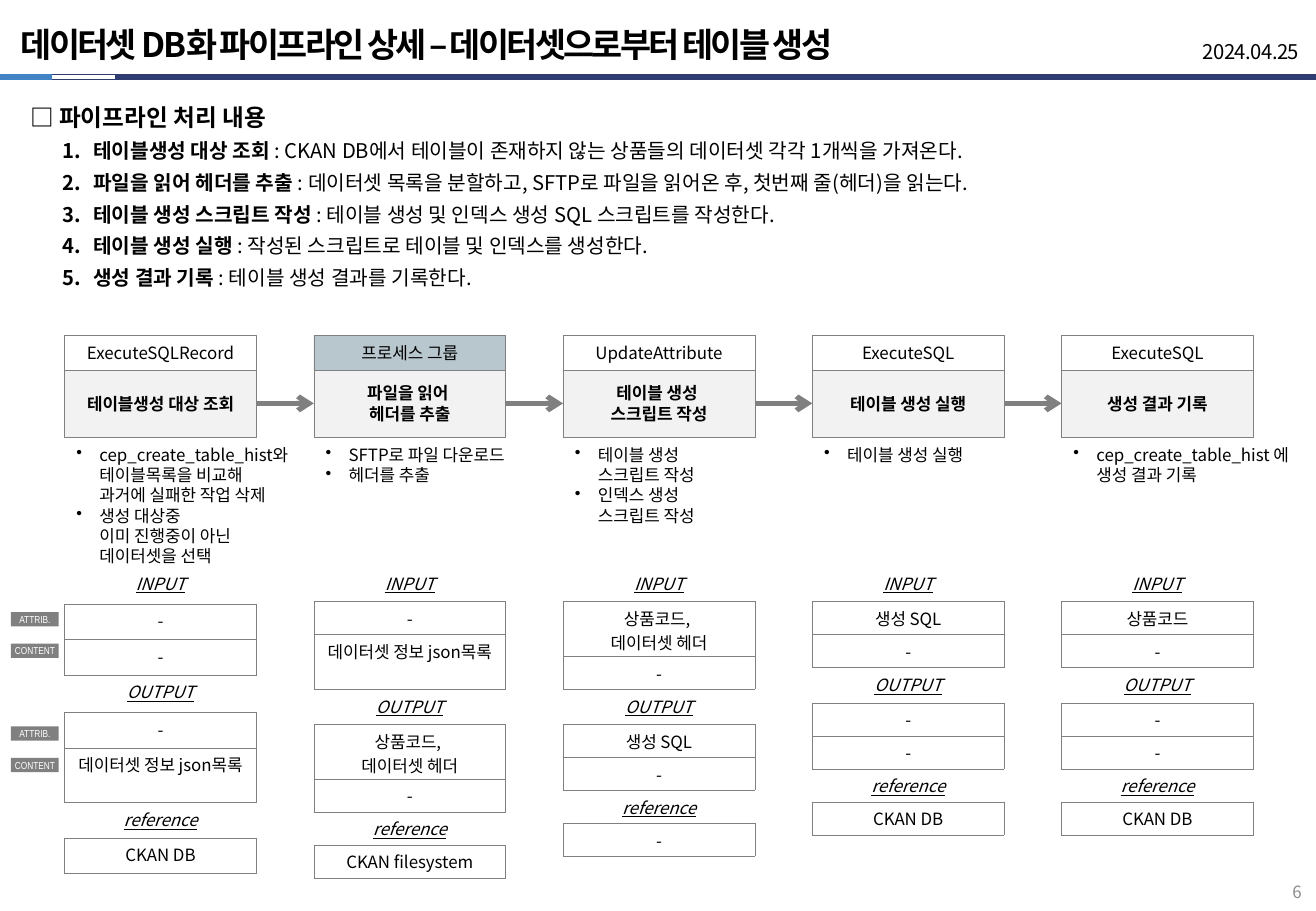
import collections

import pptx
import pptx.dml.color
import pptx.enum.shapes
import pptx.enum.text
import pptx.oxml
import pptx.oxml.ns
import pptx.util
from pptx.util import Cm, Pt

ALIGN = pptx.enum.text.PP_ALIGN
ANCHOR = pptx.enum.text.MSO_ANCHOR
RECTANGLE = pptx.enum.shapes.MSO_SHAPE.RECTANGLE
Box = collections.namedtuple("Box", "left top width height")
Stage = collections.namedtuple("Stage", "processor fill task notes inputs outputs reference slack")


class Theme:
    font, tag_font = "Noto Sans CJK KR", "Arial Narrow"
    black, white, gray, pale = "000000", "FFFFFF", "808080", "F2F2F2"
    navy, blue, steel, page_gray = "2F3C72", "4283C5", "B8C6CD", "8C8C8C"
    title, heading, body, small, tag = 20, 14, 12, 10, 6
    hairline, arrow = 0.25, 3
    leading, cell_leading, list_leading = 1.2, 1.4, 1.56


STEPS = [
    ("테이블생성 대상 조회 ", ": CKAN DB에서 테이블이 존재하지 않는 상품들의 데이터셋 각각 1개씩을 가져온다."),
    ("파일을 읽어 헤더를 추출 ", ": 데이터셋 목록을 분할하고, SFTP로 파일을 읽어온 후, 첫번째 줄(헤더)을 읽는다."),
    ("테이블 생성 스크립트 작성 ", ": 테이블 생성 및 인덱스 생성 SQL 스크립트를 작성한다."),
    ("테이블 생성 실행 ", ": 작성된 스크립트로 테이블 및 인덱스를 생성한다."),
    ("생성 결과 기록 ", ": 테이블 생성 결과를 기록한다."),
]
DATASET_LIST, HEADER = "데이터셋 정보 json목록", "상품코드, \n데이터셋 헤더"
STAGES = [
    Stage("ExecuteSQLRecord", Theme.white, "테이블생성 대상 조회",
          ["cep_create_table_hist와\v테이블목록을 비교해\v과거에 실패한 작업 삭제",
           "생성 대상중 \v이미 진행중이 아닌\v데이터셋을 선택"],
          ["-", "-"], ["-", DATASET_LIST], "CKAN DB", 0.05),
    Stage("프로세스 그룹", Theme.steel, "파일을 읽어 \n헤더를 추출",
          ["SFTP로 파일 다운로드", "헤더를 추출"],
          ["-", DATASET_LIST], [HEADER, "-"], "CKAN filesystem", 0),
    Stage("UpdateAttribute", Theme.white, "테이블 생성 \n스크립트 작성",
          ["테이블 생성\v스크립트 작성", "인덱스 생성\v스크립트 작성"],
          [HEADER, "-"], ["생성 SQL", "-"], "-", 0),
    Stage("ExecuteSQL", Theme.white, "테이블 생성 실행", ["테이블 생성 실행"],
          ["생성 SQL", "-"], ["-", "-"], "CKAN DB", 0),
    Stage("ExecuteSQL", Theme.white, "생성 결과 기록",
          ["cep_create_table_hist 에 \v생성 결과 기록"],
          ["상품코드", "-"], ["-", "-"], "CKAN DB", 0),
]


def rgb(color):
    return pptx.dml.color.RGBColor.from_string(color)


def add_xml(parent, markup, index=None):
    head, tail = markup.split(" ", 1) if " " in markup else (markup[:-2], "/>")
    element = pptx.oxml.parse_xml(f"{head} {pptx.oxml.ns.nsdecls('a')} {tail}")
    parent.insert(len(parent) if index is None else index, element)


def format_span(span, size, color=Theme.black, name=Theme.font, spacing=None, **values):
    for key, value in dict(values, size=Pt(size), name=name).items():
        setattr(span.font, key, value)
    span.font.color.rgb = rgb(color)
    properties = span.font._element
    add_xml(properties, f'<a:ea typeface="{name}"/>')
    if spacing is not None:
        properties.set("spc", str(round(spacing * 100)))


def format_para(para, size, align=ALIGN.LEFT, leading=None, **values):
    para.alignment = align
    para.space_before = Pt(0)
    if leading:
        para.line_spacing = Pt(size * leading)
    for span in para.runs:
        format_span(span, size, **values)


def set_text(frame, lines, size, **values):
    """Fill a frame with one paragraph for each line."""
    frame.text = "\n".join(lines)
    for para in frame.paragraphs:
        format_para(para, size, **values)


def format_frame(frame, wrap=True, anchor=ANCHOR.TOP, margin_x=0.25, margin_y=0.13):
    settings = {"auto_size": pptx.enum.text.MSO_AUTO_SIZE.NONE, "word_wrap": wrap,
                "vertical_anchor": anchor,
                "margin_left": Cm(margin_x), "margin_right": Cm(margin_x),
                "margin_top": Cm(margin_y), "margin_bottom": Cm(margin_y)}
    for key, value in settings.items():
        setattr(frame, key, value)


def add_text_box(page, box, **values):
    frame = page.shapes.add_textbox(*map(Cm, box)).text_frame
    format_frame(frame, **values)
    return frame


def add_rectangle(page, box, fill=None, line=None):
    shape = page.shapes.add_shape(RECTANGLE, *map(Cm, box))
    shape.shadow.inherit = False
    if fill:
        shape.fill.solid()
        shape.fill.fore_color.rgb = rgb(fill)
    else:
        shape.fill.background()
    if line:
        shape.line.color.rgb = rgb(line)
        shape.line.width = Pt(Theme.hairline)
    else:
        shape.line.fill.background()
    return shape


def add_bullet(para, indent, hanging, markup):
    properties = para._p.get_or_add_pPr()
    properties.set("marL", str(Cm(indent)))
    properties.set("indent", str(-Cm(hanging)))
    add_xml(properties, markup)


def add_header(page, box):
    left, top, width, height = box
    bar_top, bar_height = top + height - 0.1, 0.1
    for start, end, fill, line in [(1.07, 2.41, None, Theme.navy),
                                   (0, 1.07, Theme.blue, Theme.blue),
                                   (2.41, width, Theme.navy, Theme.navy)]:
        add_rectangle(page, Box(left + start, bar_top, end - start, bar_height), fill, line)
    title = page.shapes.title
    place = Box(left + 0.18, top + 0.36, 18.44, 1.12)
    for key, value in place._asdict().items():
        setattr(title, key, Cm(value))
    format_frame(title.text_frame, wrap=False, anchor=ANCHOR.MIDDLE)
    set_text(title.text_frame, ["데이터셋 DB화 파이프라인 상세 – 데이터셋으로부터 테이블 생성"],
             Theme.title, bold=True, spacing=-1.6)
    date = add_text_box(page, Box(left + width - 6.48, top + 0.74, 6.38, 0.71),
                        wrap=False, anchor=ANCHOR.BOTTOM)
    set_text(date, ["2024.04.25"], Theme.body, align=ALIGN.RIGHT, spacing=-0.3)


def add_steps(page, box):
    frame = add_text_box(page, box)
    set_text(frame, ["□ 파이프라인 처리 내용"], Theme.heading,
             leading=Theme.list_leading, bold=True)
    for name, detail in STEPS:
        para = frame.add_paragraph()
        format_para(para, Theme.body, leading=Theme.list_leading)
        add_bullet(para, 1.32, 0.64, '<a:buAutoNum type="arabicPeriod"/>')
        for text, bold in [(name, True), (detail, False)]:
            span = para.add_run()
            span.text = text
            format_span(span, Theme.body, bold=bold)


def add_stage(page, box, stage):
    """Draw a stage's boxes, notes and data table; return the task box."""
    task = add_rectangle(page, Box(box.left, box.top + 0.71, box.width, 1.43),
                         Theme.pale, Theme.gray)
    processor = add_rectangle(page, Box(box.left, box.top, box.width, 0.73),
                              stage.fill, Theme.gray)
    for shape, text, bold in [(task, stage.task, True), (processor, stage.processor, False)]:
        format_frame(shape.text_frame, anchor=ANCHOR.MIDDLE)
        set_text(shape.text_frame, text.split("\n"), Theme.small, align=ALIGN.CENTER,
                 leading=Theme.leading, bold=bold)
    notes = add_text_box(page, Box(box.left, box.top + 2.16, box.width, 3.07), wrap=False)
    set_text(notes, stage.notes, Theme.small, leading=Theme.leading)
    for para in notes.paragraphs:
        add_bullet(para, 0.48, 0.48, '<a:buChar char="•"/>')
    add_data_table(page, Box(box.left, box.top + 4.83, box.width, box.height - 4.83), stage)
    return task


def add_data_table(page, box, stage):
    values = ["INPUT", *stage.inputs, "OUTPUT", *stage.outputs, "reference", stage.reference]
    table = page.shapes.add_table(len(values), 1, *map(Cm, box)).table
    table.first_row = table.horz_banding = False
    for index, value in enumerate(values):
        is_label = index % 3 == 0
        tall = "\n" in value or value == DATASET_LIST
        height = 1.14 if tall else 0.69 + stage.slack
        if value in ("INPUT", "OUTPUT"):
            height += 0.05
        table.rows[index].height = Cm(height)
        cell = table.cell(index, 0)
        for key, margin in {"left": 0.13, "right": 0.13, "top": 0.11, "bottom": 0}.items():
            setattr(cell, f"margin_{key}", Cm(margin))
        set_text(cell.text_frame, value.split("\n"), Theme.small, align=ALIGN.CENTER,
                 leading=Theme.cell_leading, italic=is_label, underline=is_label)
        cell.fill.background()
        for order, side in enumerate("LRTB"):
            hidden = (is_label and side in "LR") or (index == 0 and side == "T")
            paint = ("<a:noFill/>" if hidden else
                     f'<a:solidFill><a:srgbClr val="{Theme.gray}"/></a:solidFill>')
            add_xml(cell._tc.get_or_add_tcPr(),
                    f'<a:ln{side} w="{Pt(Theme.hairline)}">{paint}</a:ln{side}>', order)


def add_arrow(page, start, end):
    arrow = page.shapes.add_connector(pptx.enum.shapes.MSO_CONNECTOR.STRAIGHT, 0, 0, 0, 0)
    arrow.begin_connect(start, 3)
    arrow.end_connect(end, 1)
    arrow.line.color.rgb = rgb(Theme.gray)
    arrow.line.width = Pt(Theme.arrow)
    add_xml(arrow.line._get_or_add_ln(), '<a:tailEnd type="arrow"/>')
    add_xml(arrow._element.spPr, "<a:effectLst/>")


def add_pipeline(page, box):
    pitch, width = 5.21, 4.01
    tasks = [add_stage(page, Box(box.left + column * pitch, box.top, width, box.height), stage)
             for column, stage in enumerate(STAGES)]
    for start, end in zip(tasks, tasks[1:]):
        add_arrow(page, start, end)


def add_row_tags(page, box):
    for group_top in (box.top, box.top + 2.39):
        for row, text in enumerate(["ATTRIB.", "CONTENT"]):
            tag = add_rectangle(page, Box(box.left, group_top + row * 0.66, box.width, 0.3),
                                Theme.gray)
            format_frame(tag.text_frame, wrap=False, anchor=ANCHOR.MIDDLE,
                         margin_x=0.03, margin_y=0.03)
            set_text(tag.text_frame, [text], Theme.tag, align=ALIGN.CENTER,
                     color=Theme.white, name=Theme.tag_font)


def add_page_number(page, box):
    frame = add_text_box(page, box, anchor=ANCHOR.BOTTOM)
    set_text(frame, ["6"], Theme.small, align=ALIGN.RIGHT, color=Theme.page_gray)


def main():
    deck = pptx.Presentation()
    deck.slide_width, deck.slide_height = Cm(27.51), Cm(19.05)
    page = deck.slides.add_slide(deck.slide_layouts[5])
    add_header(page, Box(0, 0, 27.51, 1.65))
    add_steps(page, Box(0.38, 1.85, 26.59, 4.32))
    add_pipeline(page, Box(1.35, 7.01, 24.85, 11.36))
    add_row_tags(page, Box(0.23, 12.8, 1, 3.35))
    add_page_number(page, Box(26.14, 18.24, 1.32, 0.76))
    deck.save("out.pptx")


if __name__ == "__main__":
    main()
